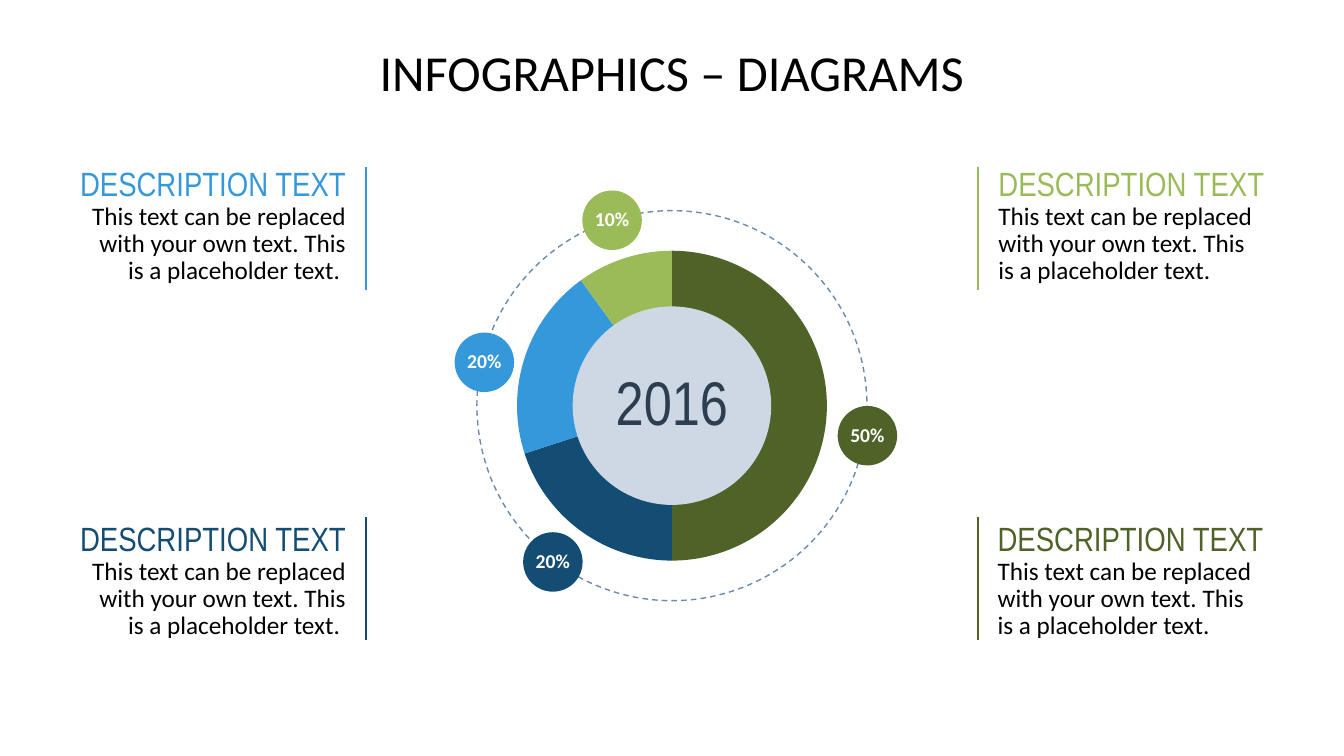
from lxml import etree
from pptx import Presentation
from pptx import util as u
from pptx.chart import data
from pptx.dml import color
from pptx.enum import chart as charts, dml, shapes, text
from pptx.oxml import ns

GREEN, BLUE, NAVY, OLIVE = "9BBB59", "3498DB", "144D73", "4F6228"
BLACK, WHITE = "000000", "FFFFFF"
LEFT, CENTER, RIGHT = text.PP_ALIGN.LEFT, text.PP_ALIGN.CENTER, text.PP_ALIGN.RIGHT
TOP, MIDDLE, BOTTOM = text.MSO_ANCHOR.TOP, text.MSO_ANCHOR.MIDDLE, text.MSO_ANCHOR.BOTTOM


def rgb(value):
    return color.RGBColor.from_string(value)


class Painter:
    body_font = "Calibri"
    accent_font = "Arial Narrow"
    line_spacing = 0.9
    space_after = 10

    def __init__(self, slide):
        self.slide = slide

    def frame(self, shape, anchor, side_inset=0):
        frame = shape.text_frame
        frame.word_wrap = True
        frame.auto_size = text.MSO_AUTO_SIZE.NONE
        frame.vertical_anchor = anchor
        frame.margin_left = frame.margin_right = u.Pt(side_inset)
        frame.margin_top = frame.margin_bottom = 0
        return frame

    def paragraph(self, frame, align, space_after=space_after):
        paragraph = frame.paragraphs[0]
        paragraph.alignment = align
        paragraph.line_spacing = self.line_spacing
        paragraph.space_before = u.Pt(0)
        paragraph.space_after = u.Pt(space_after)
        return paragraph

    def run(self, paragraph, words, size, font, ink, bold=False):
        run = paragraph.add_run()
        run.text = words
        run.font.size = u.Pt(size)
        run.font.name = font
        run.font.bold = bold
        run.font.color.rgb = rgb(ink)

    def title(self, words):
        shape = self.slide.shapes.title
        shape.left, shape.top = u.Pt(42.5), u.Pt(34.2)
        shape.width, shape.height = u.Pt(875), u.Pt(85)
        paragraph = self.paragraph(self.frame(shape, TOP), CENTER, 0)
        self.run(paragraph, words, 36, self.body_font, BLACK)

    def circle(self, x, y, diameter, fill):
        shape = self.slide.shapes.add_shape(
            shapes.MSO_SHAPE.OVAL, u.Pt(x - diameter / 2), u.Pt(y - diameter / 2),
            u.Pt(diameter), u.Pt(diameter))
        shape.shadow.inherit = False
        shape.fill.solid()
        shape.fill.fore_color.rgb = rgb(fill)
        shape.line.fill.background()
        return shape

    def orbit(self, x, y, diameter):
        line = self.circle(x, y, diameter, WHITE).line
        line.color.rgb = rgb("6A8BAD")
        line.width = u.Pt(1)
        line.dash_style = dml.MSO_LINE.DASH

    def label_circle(self, x, y, diameter, fill, words, size, font, ink, bold=False):
        frame = self.frame(self.circle(x, y, diameter, fill), MIDDLE)
        self.run(self.paragraph(frame, CENTER), words, size, font, ink, bold)

    def doughnut(self, x, y, width, height, values, colours):
        chart_data = data.CategoryChartData()
        chart_data.categories = [str(i + 1) for i in range(len(values))]
        chart_data.add_series("Series 1", values)
        chart = self.slide.shapes.add_chart(
            charts.XL_CHART_TYPE.DOUGHNUT, u.Pt(x - width / 2), u.Pt(y - height / 2),
            u.Pt(width), u.Pt(height), chart_data).chart
        chart.has_legend = chart.has_title = False
        chart.font.size = u.Pt(18)
        chart.font.name = self.body_font
        chart.font.color.rgb = rgb(BLACK)
        plot = chart.plots[0]
        plot.vary_by_categories = True
        for i, colour in enumerate(colours):
            point = plot.series[0].points[i].format
            point.fill.solid()
            point.fill.fore_color.rgb = rgb(colour)
            point.line.fill.background()
        for hole in chart.element.iter(ns.qn("c:holeSize")):
            hole.set("val", "75")

    def description(self, x, y, align, anchor, colour, body):
        box = self.slide.shapes.add_textbox(u.Pt(x), u.Pt(y), u.Pt(219), u.Pt(108))
        paragraph = self.paragraph(self.frame(box, anchor, 14.4), align)
        self.run(paragraph, "DESCRIPTION TEXT", 24, self.accent_font, colour)
        paragraph.add_line_break()
        self.run(paragraph, body, 18, self.body_font, BLACK)

    def rule(self, x, y, height, colour):
        line = self.slide.shapes.add_connector(
            shapes.MSO_CONNECTOR.STRAIGHT, u.Pt(x), u.Pt(y), u.Pt(x), u.Pt(y + height))
        line.line.color.rgb = rgb(colour)
        line.line.width = u.Pt(1.5)
        etree.SubElement(line.element.spPr, ns.qn("a:effectLst"))


def main():
    presentation = Presentation()
    presentation.slide_width, presentation.slide_height = u.Pt(960), u.Pt(540)
    painter = Painter(presentation.slides.add_slide(presentation.slide_layouts[5]))
    painter.title("INFOGRAPHICS – DIAGRAMS")

    x, y = 480, 289.8
    painter.orbit(x, y, 278.6)
    painter.doughnut(x, y, 363.6, 241.2, (50, 20, 20, 10), (OLIVE, NAVY, BLUE, GREEN))
    painter.label_circle(x, y, 141.8, "CDD8E4", "2016", 44, painter.accent_font, "2C3E50")
    badges = [(394.9, 401.4, NAVY, "20%"), (619.6, 311.2, OLIVE, "50%"),
              (346, 258.8, BLUE, "20%"), (437.2, 157.3, GREEN, "10%")]
    for badge_x, badge_y, colour, share in badges:
        painter.label_circle(badge_x, badge_y, 42.5, colour, share, 14,
                             painter.body_font, WHITE, True)

    body = "This text can be replaced with your own text. This is a placeholder text."
    rows = [(119.5, 119.5, 698.8, TOP, BLUE, GREEN),
            (349.2, 369.4, 698.2, BOTTOM, NAVY, OLIVE)]
    for box_y, rule_y, right_x, anchor, left_colour, right_colour in rows:
        painter.description(42.5, box_y, RIGHT, anchor, left_colour, body + " ")
        painter.description(right_x, box_y, LEFT, anchor, right_colour, body)
        painter.rule(261.4, rule_y, 87.8, left_colour)
        painter.rule(698.8, rule_y, 87.8, right_colour)

    presentation.save("out.pptx")


if __name__ == "__main__":
    main()
